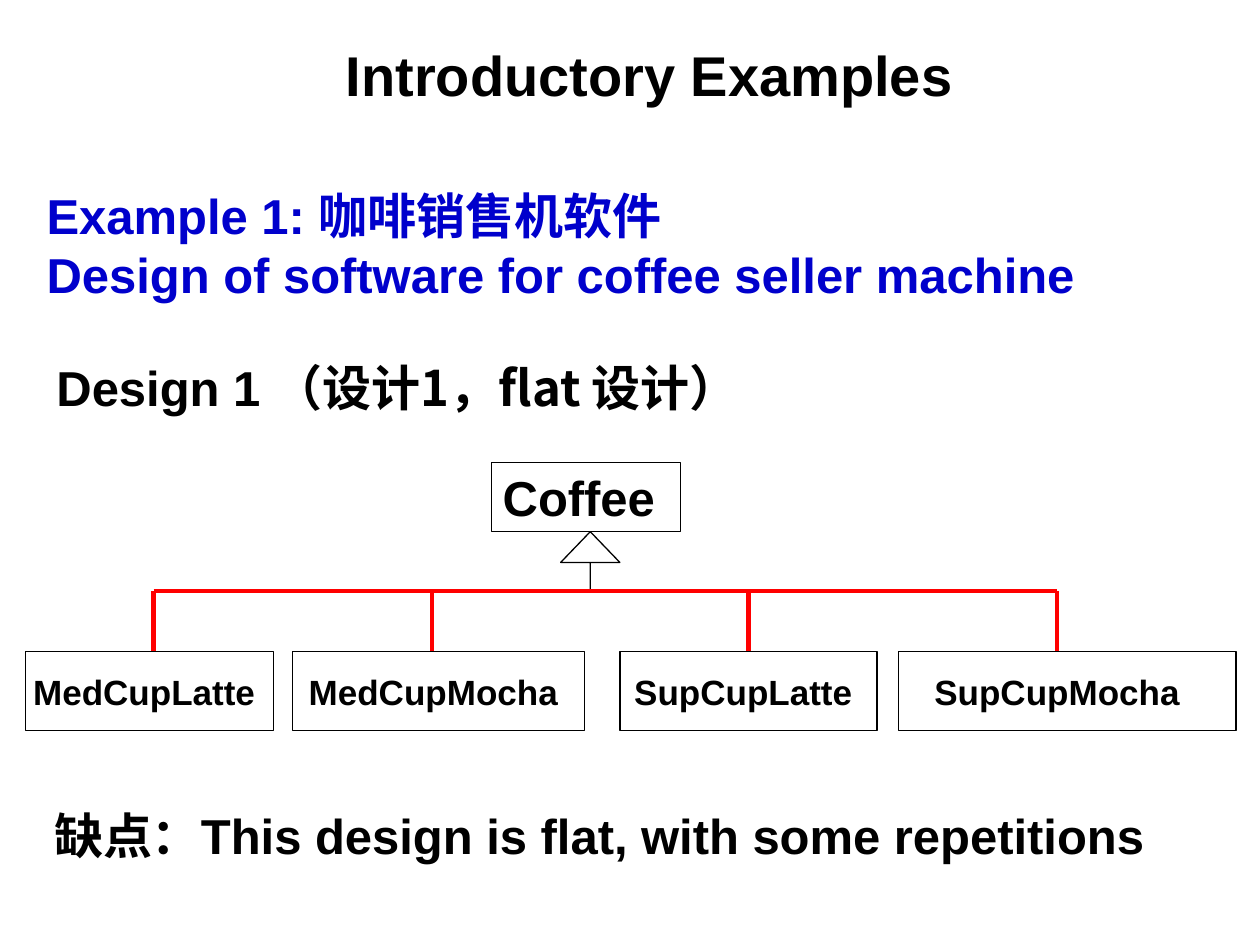
from dataclasses import dataclass

from pptx import Presentation
from pptx.dml.color import RGBColor
from pptx.enum.shapes import MSO_CONNECTOR, MSO_SHAPE
from pptx.enum.text import MSO_ANCHOR as ANCHOR, PP_ALIGN as ALIGN
from pptx.oxml.ns import qn
from pptx.util import Inches, Pt


@dataclass(frozen=True)
class Theme:
    latin: str = "Arial"
    chinese: str = "Noto Sans CJK SC"
    ink: RGBColor = RGBColor(0, 0, 0)
    paper: RGBColor = RGBColor(255, 255, 255)
    accent: RGBColor = RGBColor(0, 0, 0xCC)
    branch: RGBColor = RGBColor(255, 0, 0)
    heading: int = 32
    body: int = 28
    label: int = 20
    thin: float = 0.75
    thick: float = 2.5


THEME = Theme()


def write(shape, *lines, size=THEME.body, color=THEME.ink, align=ALIGN.LEFT,
          anchor=ANCHOR.MIDDLE, wrap=True, left=0.1, right=0.1):
    """Fill a shape with lines; each line is a list of (text, font) runs."""
    frame = shape.text_frame
    frame.word_wrap, frame.vertical_anchor = wrap, anchor
    frame.margin_left, frame.margin_right = Inches(left), Inches(right)
    frame.margin_top = frame.margin_bottom = Inches(0.05)
    paragraph = frame.paragraphs[0]
    paragraph.alignment = align
    paragraph.space_before = Pt(0)
    for number, line in enumerate(lines):
        if number:
            paragraph.add_line_break()
        for text, face in line:
            run = paragraph.add_run()
            run.text = text
            font = run.font
            font.name, font.size, font.bold = face, Pt(size), True
            font.color.rgb = color
            # East Asian characters take their own typeface
            east_asian = font._element.makeelement(
                qn("a:ea"), {"typeface": THEME.chinese})
            font._element.find(qn("a:latin")).addnext(east_asian)


def add_text(slide, box, *lines, **style):
    textbox = slide.shapes.add_textbox(*map(Inches, box))
    write(textbox, *lines, **style)


def add_outline(slide, preset, box):
    shape = slide.shapes.add_shape(preset, *map(Inches, box))
    shape.shadow.inherit = False
    shape.fill.solid()
    shape.fill.fore_color.rgb = THEME.paper
    shape.line.color.rgb = THEME.ink
    shape.line.width = Pt(THEME.thin)
    return shape


def add_class(slide, box, name, size, offset):
    """Class box; offset widens the right inset to set the name leftwards."""
    shape = add_outline(slide, MSO_SHAPE.RECTANGLE, box)
    write(shape, [(name, THEME.latin)], size=size, align=ALIGN.CENTER,
          wrap=False, right=0.1 + offset)


def add_branch(slide, *ends):
    line = slide.shapes.add_connector(MSO_CONNECTOR.STRAIGHT, *map(Inches, ends))
    line.line.color.rgb = THEME.branch
    line.line.width = Pt(THEME.thick)
    properties = line._element.spPr
    properties.append(properties.makeelement(qn("a:effectLst"), {}))


def add_titles(slide, box):
    left, top, width, height = box
    add_text(slide, (left + 1.5, top, 6.77, 0.61),
             [("Introductory Examples", THEME.latin)],
             size=THEME.heading, align=ALIGN.CENTER)
    example = slide.shapes.title
    example.left, example.top = Inches(left), Inches(top + 1.11)
    example.width, example.height = Inches(width), Inches(height - 1.11)
    write(example,
          [("Example 1: ", THEME.latin), ("咖啡销售机软件", THEME.chinese)],
          [("Design of software for coffee seller machine", THEME.latin)],
          color=THEME.accent)


def add_hierarchy(slide, box):
    left, top, width, height = box
    bus, row, row_height = top + 1.02, top + 1.5, height - 1.5
    # Parent class and inheritance arrow
    add_class(slide, (left + 3.7, top, 1.5, 0.55), "Coffee", THEME.body, 0.11)
    arrow = add_outline(slide, MSO_SHAPE.UP_ARROW,
                        (left + 4.25, top + 0.55, 0.47, 0.47))
    arrow.adjustments[0], arrow.adjustments[1] = 0, 0.52
    # Child classes: x, width, branch x, name, name offset
    children = [
        (0, 1.97, 1.02, "MedCupLatte", 0.08),
        (2.12, 2.32, 3.23, "MedCupMocha", 0.08),
        (4.72, 2.04, 5.74, "SupCupLatte", 0.08),
        (6.93, 2.68, 8.19, "SupCupMocha", 0.16),
    ]
    for x, child_width, stem, name, offset in children:
        add_class(slide, (left + x, row, child_width, row_height), name,
                  THEME.label, offset)
        add_branch(slide, left + stem, bus, left + stem, row)
    add_branch(slide, left + children[0][2], bus, left + children[-1][2], bus)


def main():
    deck = Presentation()
    deck.slide_width, deck.slide_height = Inches(10), Inches(7.5)
    slide = deck.slides.add_slide(deck.slide_layouts[5])
    add_titles(slide, (0.27, 0.28, 9.21, 2.21))
    # Design caption
    add_text(slide, (0.35, 2.79, 6.14, 0.57),
             [("Design 1 （", THEME.latin), ("设计1，flat 设计", THEME.chinese),
              ("）", THEME.latin)], anchor=ANCHOR.TOP)
    add_hierarchy(slide, (0.2, 3.67, 9.61, 2.13))
    # Drawback
    add_text(slide, (0.43, 6.27, 9.29, 0.71),
             [("缺点：This design is flat, with some repetitions", THEME.latin)],
             left=0, right=0)
    deck.save("out.pptx")


if __name__ == "__main__":
    main()
